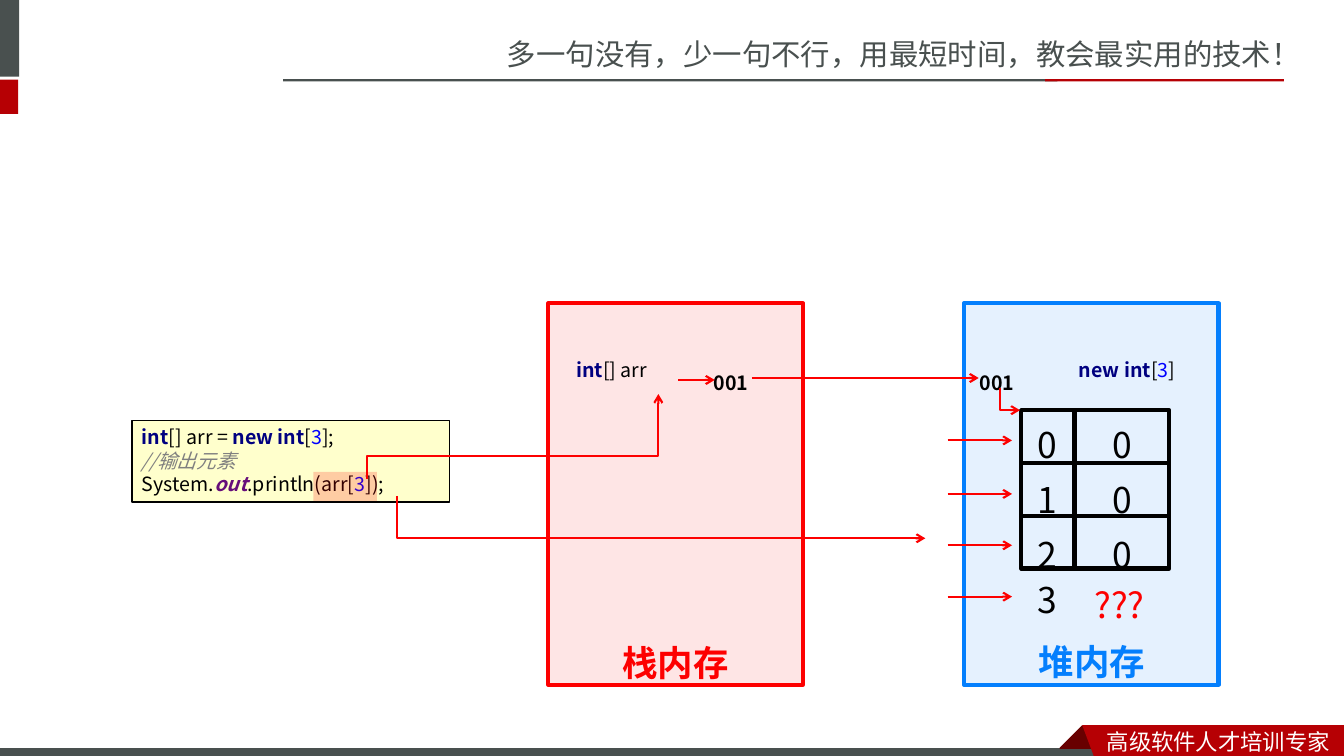
from lxml.etree import SubElement
from pptx import Presentation
from pptx.dml.color import RGBColor
from pptx.enum.shapes import MSO_CONNECTOR, MSO_SHAPE
from pptx.enum.text import MSO_ANCHOR, PP_ALIGN
from pptx.oxml.ns import qn
from pptx.util import Pt

SLIDE_SIZE = (960, 540)
CHROME_FONT, BODY_FONT = "Noto Sans CJK SC", "Noto Sans CJK JP"
GREY, CRIMSON, MAROON, WHITE = "49504F", "B60004", "680000", "FFFFFF"
RED, SKY, BLACK, NAVY, BLUE = "FD0000", "047FFD", "000000", "000080", "0000FF"
BOLD, ITALIC = {"bold": True}, {"italic": True}

CHROME_BARS = [
    (-4.3, 0, 18, 54.7, GREY, None),
    (-4.3, 56.9, 17.3, 24.5, CRIMSON, None),
    (202.3, 56.6, 553, 1.6, GREY, None),
    (746.6, 56.6, 170.6, 1.6, CRIMSON, None),
    (-0.7, 533.7, 792, 8.6, GREY, WHITE),
]
RIBBON_FOLD = [(772.6, 518.4), (788.4, 534.2), (787.7, 535), (757.4, 535), (756.7, 534.2)]
RIBBON = [(772.6, 518.4), (960, 518.4), (960, 542.9), (782, 542.2)]

CODE_BOX = (94.3, 300.2, 226.8, 58.3)
CODE = [
    ("int", NAVY, BOLD), ("[] arr = ", BLACK, {}), ("new int", NAVY, BOLD),
    ("[", BLACK, {}), ("3", BLUE, {}), ("];\n", BLACK, {}),
    ("//输出元素\n", "808080", ITALIC),
    ("System.", BLACK, {}), ("out", "660E7A", {**BOLD, **ITALIC}),
    (".println(arr[", BLACK, {}), ("3", BLUE, {}), ("]);", BLACK, {}),
]
CODE_HIGHLIGHT = (223.9, 337, 45.4, 20.9)

MEMORY_TOP, MEMORY_WIDTH, MEMORY_HEIGHT = 216.7, 181.8, 272.4
MEMORIES = [(391.7, RED), (688.6, SKY)]

CHROME_LABELS = [
    (355, 45.1, 605.5, 21, [("多一句没有，少一句不行，用最短时间，教会最实用的技术！", GREY, {})], PP_ALIGN.LEFT),
    (783.4, 534.7, 176.4, 16, [("高级软件人才培训专家", WHITE, {})], PP_ALIGN.LEFT),
]
ADDRESS = [("001", BLACK, BOLD)]
DIAGRAM_LABELS = [
    (404.6, 268.6, 90, 14, [("int", NAVY, BOLD), ("[] arr", BLACK, {})], PP_ALIGN.LEFT),
    (763.5, 268.6, 100, 14,
     [("new int", NAVY, BOLD), ("[", BLACK, {}), ("3", BLUE, {}), ("]", BLACK, {})], PP_ALIGN.LEFT),
    (502.6, 277.9, 52, 14, ADDRESS, PP_ALIGN.LEFT),
    (692.6, 277.9, 52, 14, ADDRESS, PP_ALIGN.LEFT),
    (432.4, 481, 100, 25.3, [("栈内存", RED, BOLD)], PP_ALIGN.CENTER),
    (730.1, 480.3, 100, 25.3, [("堆内存", SKY, BOLD)], PP_ALIGN.CENTER),
    (729.4, 436.4, 38, 25.3, [("3", BLACK, {})], PP_ALIGN.CENTER),
    (744.6, 439.3, 110, 25.3, [("???", RED, {})], PP_ALIGN.CENTER),
]

ARRAY_TOP, ROW_HEIGHT, ROW_PITCH = 293, 37.7, 39.3
ARRAY_COLUMNS = [(767.5, 67.7, "000"), (729.4, 38.1, "012")]

STRAIGHT_ARROWS = [((484.6, 271.4), (510.5, 271.4)), ((537.1, 270), (699.1, 270))]
STRAIGHT_ARROWS += [((676.8, y), (722.9, y)) for y in (314.6, 352.8, 389.5, 426.2)]
ELBOW_ARROWS = [
    ((262.1, 342), (470.2, 281.5), 90, "bentConnector3", 27200),
    ((714.2, 277.2), (728.6, 293), 270, "bentConnector2", None),
    ((283.7, 354.2), (661, 384.5), 270, "bentConnector2", None),
]

presentation = Presentation()
presentation.slide_width, presentation.slide_height = map(Pt, SLIDE_SIZE)
slide = presentation.slides.add_slide(presentation.slide_layouts[6])
shapes = slide.shapes


def color(hex_value):
    return RGBColor.from_string(hex_value)


def paint(shape, fill=None, line=None, width=1, opacity=None):
    shape.shadow.inherit = False
    if fill:
        shape.fill.solid()
        shape.fill.fore_color.rgb = color(fill)
        if opacity:
            hue = shape._element.spPr.find(".//" + qn("a:srgbClr"))
            SubElement(hue, qn("a:alpha")).set("val", str(opacity * 1000))
    else:
        shape.fill.background()
    if line:
        shape.line.color.rgb = color(line)
        shape.line.width = Pt(width)
    else:
        shape.line.fill.background()


def rectangle(box, **style):
    shape = shapes.add_shape(MSO_SHAPE.RECTANGLE, *map(Pt, box))
    paint(shape, **style)
    return shape


def polygon(points, fill):
    builder = shapes.build_freeform(*points[0], scale=Pt(1))
    builder.add_line_segments(points[1:], close=True)
    paint(builder.convert_to_shape(), fill=fill)


def write(paragraph, runs, size, font_name, spacing, align=PP_ALIGN.LEFT):
    paragraph.alignment = align
    paragraph.line_spacing = Pt(spacing)
    for text, hex_value, style in runs:
        run = paragraph.add_run()
        run.text = text.rstrip("\n")
        run.font.color.rgb = color(hex_value)
        values = {"name": font_name, "size": Pt(size), "bold": False, "italic": False, **style}
        for name, value in values.items():
            setattr(run.font, name, value)
        properties = run._r.get_or_add_rPr()
        SubElement(properties, qn("a:ea")).set("typeface", font_name)
        if text.endswith("\n"):
            paragraph.add_line_break()


def label(left, baseline, width, size, runs, align, font_name):
    top = baseline - 3.6 - 0.912 * size
    shape = shapes.add_textbox(*map(Pt, (left, top, width, 1.2 * size + 7.2)))
    shape.text_frame.word_wrap = True
    write(shape.text_frame.paragraphs[0], runs, size, font_name, 1.2 * size, align)


def arrow(kind, begin, end):
    connector = shapes.add_connector(kind, *map(Pt, (*begin, *end)))
    connector.line.color.rgb = color(RED)
    connector.line.width = Pt(1.5)
    SubElement(connector.line._get_or_add_ln(), qn("a:tailEnd")).set("type", "arrow")
    SubElement(connector._element.spPr, qn("a:effectLst"))
    return connector


def elbow_arrow(begin, end, rotation, preset, adjustment):
    middle_x, middle_y = (begin[0] + end[0]) / 2, (begin[1] + end[1]) / 2
    sign = 1 if rotation == 90 else -1
    half_x, half_y = sign * (end[1] - begin[1]) / 2, -sign * (end[0] - begin[0]) / 2
    connector = arrow(MSO_CONNECTOR.ELBOW, (middle_x - half_x, middle_y - half_y),
                      (middle_x + half_x, middle_y + half_y))
    properties = connector._element.spPr
    properties.find(qn("a:xfrm")).set("rot", str(rotation * 60000))
    geometry = properties.find(qn("a:prstGeom"))
    geometry.set("prst", preset)
    if adjustment:
        guide = SubElement(geometry.find(qn("a:avLst")), qn("a:gd"))
        guide.set("name", "adj1")
        guide.set("fmla", f"val {adjustment}")


def array_column(left, width, values):
    column = rectangle((left, ARRAY_TOP, width, 3 * ROW_HEIGHT), line=BLACK, width=3)
    frame = column.text_frame
    for name in ("margin_left", "margin_top", "margin_right", "margin_bottom"):
        setattr(frame, name, 0)
    frame.vertical_anchor = MSO_ANCHOR.TOP
    for index, value in enumerate(values):
        paragraph = frame.add_paragraph() if index else frame.paragraphs[0]
        write(paragraph, [(value, BLACK, {})], 25.3, BODY_FONT, ROW_PITCH, PP_ALIGN.CENTER)
    rectangle((left, ARRAY_TOP + ROW_HEIGHT, width, ROW_HEIGHT), line=BLACK, width=3)


for *box, fill, line in CHROME_BARS:
    rectangle(box, fill=fill, line=line, width=0.75)
polygon(RIBBON_FOLD, MAROON)
polygon(RIBBON, CRIMSON)
for entry in CHROME_LABELS:
    label(*entry, CHROME_FONT)

code_frame = rectangle(CODE_BOX, fill="FFFFCC", line=BLACK).text_frame
code_frame.vertical_anchor = MSO_ANCHOR.TOP
write(code_frame.paragraphs[0], CODE, 14, BODY_FONT, 16.8)

for left, hue in MEMORIES:
    rectangle((left, MEMORY_TOP, MEMORY_WIDTH, MEMORY_HEIGHT), fill=hue, line=hue, width=3, opacity=10)
for entry in DIAGRAM_LABELS:
    label(*entry, BODY_FONT)
for column in ARRAY_COLUMNS:
    array_column(*column)
for begin, end in STRAIGHT_ARROWS:
    arrow(MSO_CONNECTOR.STRAIGHT, begin, end)
for entry in ELBOW_ARROWS:
    elbow_arrow(*entry)
rectangle(CODE_HIGHLIGHT, fill=RED, opacity=20)

presentation.save("out.pptx")
